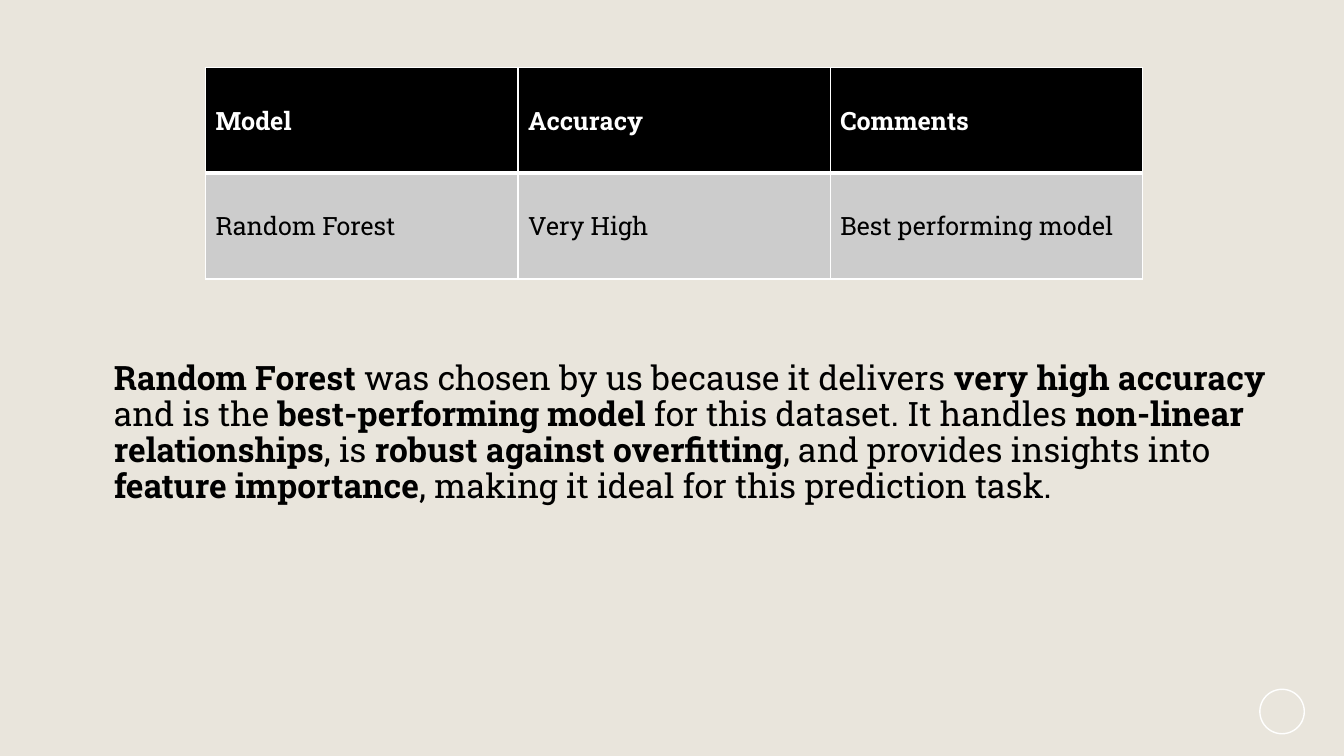
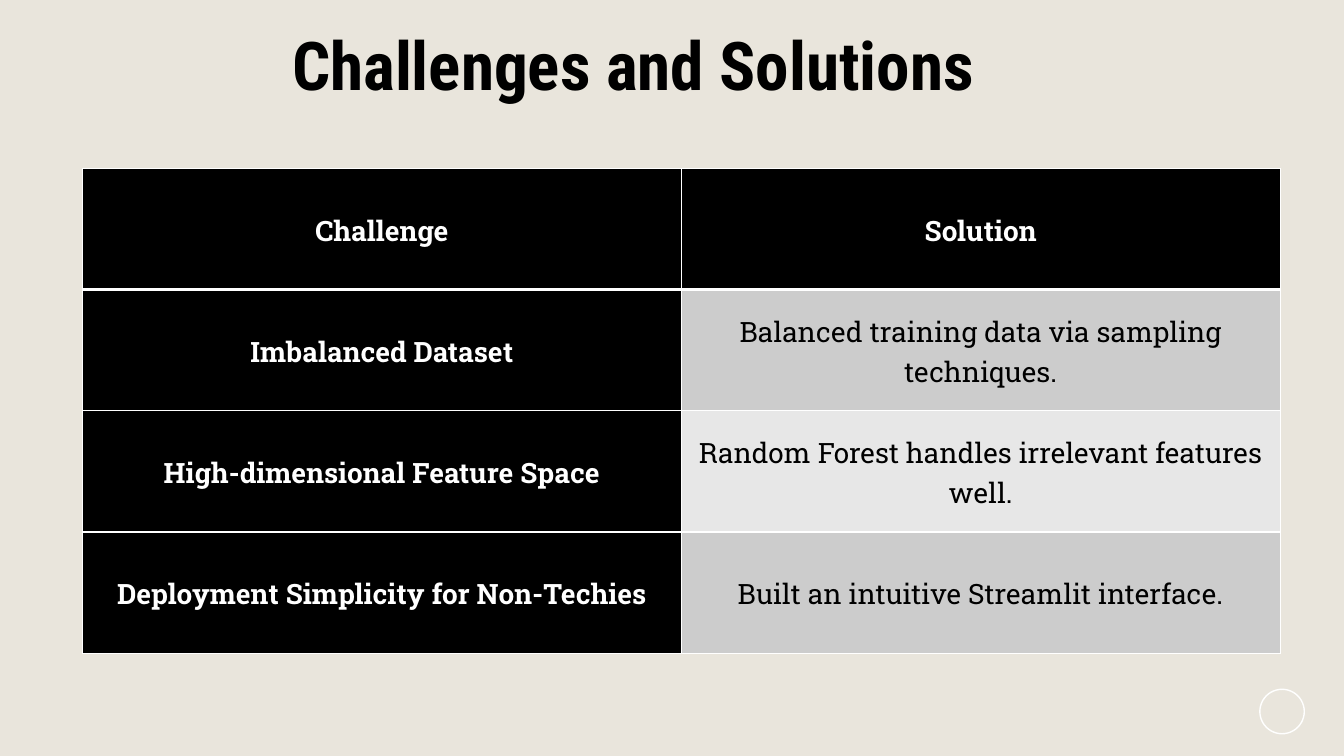
from lxml.etree import SubElement as Sub
from pptx import Presentation
from pptx.dml.color import RGBColor as RGB
from pptx.enum.shapes import MSO_SHAPE as Shape
from pptx.enum.text import MSO_ANCHOR as Anchor, PP_ALIGN as Align
from pptx.oxml.ns import qn
from pptx.util import Cm, Pt

BACK, INK, WHITE = "E9E5DC", "000000", "FFFFFF"
BANDS = ["CCCCCC", "E7E7E7"]
HEAD, BODY = "Roboto Condensed", "Roboto Slab"


def paint(item, tone):
    item.solid()
    item.fore_color.rgb = RGB.from_string(tone)


def add_run(para, text, size, bold=False, tone=INK, face=BODY):
    run = para.add_run()
    run.text = text
    font = run.font
    font.name, font.size, font.bold = face, Pt(size), bold
    paint(font.fill, tone)


def add_base(deck):
    slide = deck.slides.add_slide(deck.slide_layouts[6])
    paint(slide.background.fill, BACK)
    ring = slide.shapes.add_shape(Shape.OVAL, Cm(31.75), Cm(17.37), Cm(1.12), Cm(1.12))
    ring.shadow.inherit = False
    ring.fill.background()
    paint(ring.line.fill, WHITE)
    ring.line.width = Pt(1)
    return slide


def add_text(slide, box, runs, size, space, face=BODY):
    frame = slide.shapes.add_textbox(*map(Cm, box)).text_frame
    frame.word_wrap = True
    frame.vertical_anchor = Anchor.MIDDLE
    para = frame.paragraphs[0]
    para.line_spacing = space
    for text, bold in runs:
        add_run(para, text, size, bold, face=face)


def edge(cell, side, width):
    line = Sub(cell._tc.get_or_add_tcPr(), qn("a:" + side), w=str(Pt(width)))
    fill = Sub(line, qn("a:solidFill"))
    Sub(fill, qn("a:srgbClr"), val=WHITE)


def add_grid(slide, box, rows, size, align=Align.LEFT, space=1, inset=None, lead=False):
    grid = slide.shapes.add_table(len(rows), len(rows[0]), *map(Cm, box)).table
    for r, row in enumerate(rows):
        for c, text in enumerate(row):
            cell = grid.cell(r, c)
            dark = r == 0 or (lead and c == 0)
            for side in ["lnL", "lnR", "lnT", "lnB"]:
                thick = (r, side) in [(0, "lnB"), (1, "lnT")]
                edge(cell, side, 3 if thick else 1)
            paint(cell.fill, INK if dark else BANDS[(r - 1) % 2])
            cell.vertical_anchor = Anchor.MIDDLE
            if inset is not None:
                cell.margin_left = cell.margin_right = Cm(inset)
                cell.margin_top = cell.margin_bottom = Cm(inset)
            para = cell.text_frame.paragraphs[0]
            para.alignment, para.line_spacing = align, space
            add_run(para, text, size, dark, WHITE if dark else INK)


def add_model(deck):
    slide = add_base(deck)
    rows = [
        ["Model", "Accuracy", "Comments"],
        ["Random Forest", "Very High", "Best performing model"],
    ]
    add_grid(slide, (5.18, 1.7, 23.62, 5.33), rows, 18)
    runs = [
        ("Random Forest", True),
        (" was chosen by us because it delivers ", False),
        ("very high accuracy", True),
        (" and is the ", False),
        ("best-performing model", True),
        (" for this dataset. It handles ", False),
        ("non-linear relationships", True),
        (", is ", False),
        ("robust against overfitting", True),
        (", and provides insights into ", False),
        ("feature importance", True),
        (", making it ideal for this prediction task.", False),
    ]
    add_text(slide, (2.62, 8.74, 29.57, 4.37), runs, 24, 0.9)


def add_issues(deck):
    slide = add_base(deck)
    title = [("Challenges and Solutions", True)]
    add_text(slide, (7.11, 0.58, 17.88, 2.31), title, 48, 0.9, HEAD)
    rows = [
        ["Challenge", "Solution"],
        ["Imbalanced Dataset", "Balanced training data via sampling techniques."],
        ["High-dimensional Feature Space", "Random Forest handles irrelevant features well."],
        ["Deployment Simplicity for Non-Techies", "Built an intuitive Streamlit interface."],
    ]
    add_grid(slide, (2.08, 4.24, 30.18, 12.22), rows, 20, Align.CENTER, 1.07, 0.03, True)


def main():
    deck = Presentation()
    deck.slide_width, deck.slide_height = Cm(33.87), Cm(19.05)
    add_model(deck)
    add_issues(deck)
    deck.save("out.pptx")


if __name__ == "__main__":
    main()
